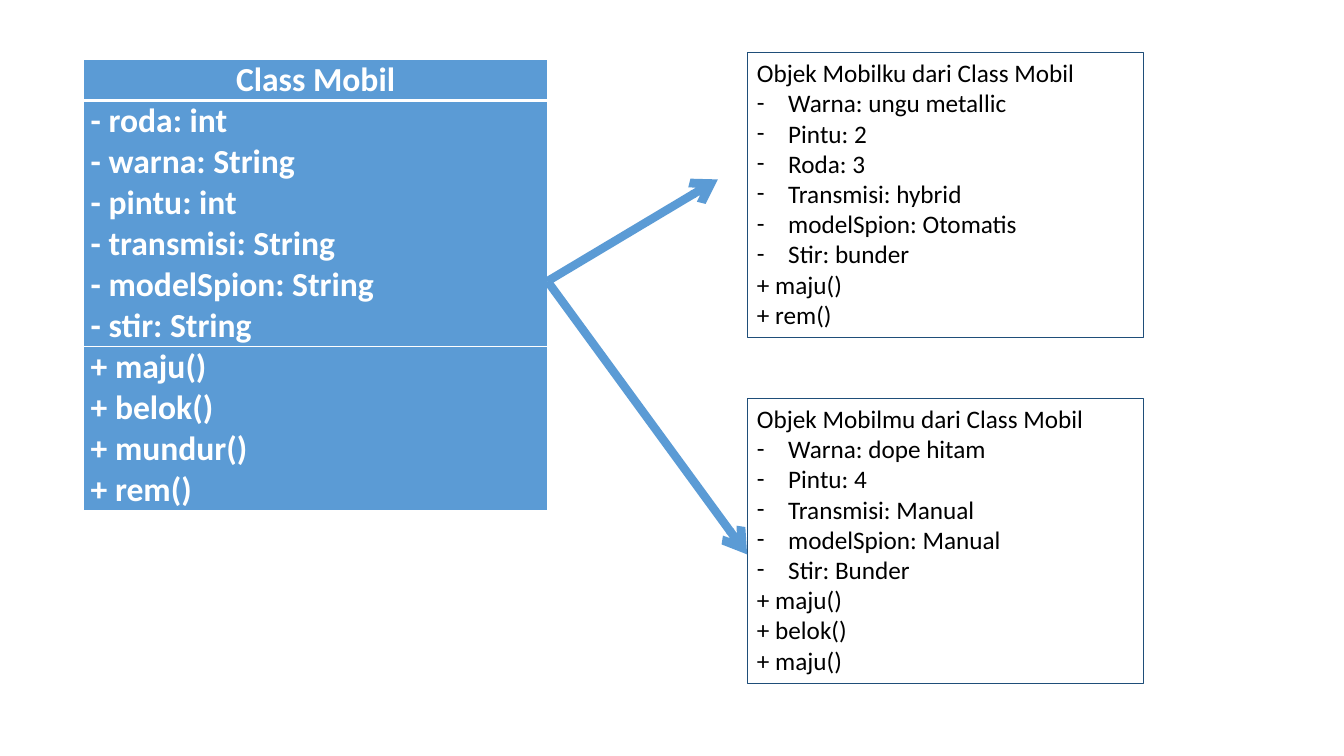
from lxml.etree import SubElement
from pptx import Presentation
from pptx.dml.color import RGBColor
from pptx.enum.shapes import MSO_CONNECTOR, MSO_SHAPE
from pptx.enum.text import MSO_ANCHOR, MSO_AUTO_SIZE, PP_ALIGN
from pptx.oxml.ns import qn
from pptx.util import Inches, Pt

BLUE, NAVY, WHITE, BLACK = "5B9BD5", "1F4E79", "FFFFFF", "000000"
FONT = "Calibri"
LINE_HEIGHT = 0.407  # one line of class text, in inches

CLASS_SECTIONS = [
    ["Class Mobil"],
    ["- roda: int", "- warna: String", "- pintu: int", "- transmisi: String",
     "- modelSpion: String", "- stir: String"],
    ["+ maju()", "+ belok()", "+ mundur()", "+ rem()"],
]
MOBILKU = (
    "Objek Mobilku dari Class Mobil",
    ["Warna: ungu metallic", "Pintu: 2", "Roda: 3", "Transmisi: hybrid",
     "modelSpion: Otomatis", "Stir: bunder"],
    ["+ maju()", "+ rem()"],
)
MOBILMU = (
    "Objek Mobilmu dari Class Mobil",
    ["Warna: dope hitam", "Pintu: 4", "Transmisi: Manual",
     "modelSpion: Manual", "Stir: Bunder"],
    ["+ maju()", "+ belok()", "+ maju()"],
)


def color(hex_string):
    return RGBColor.from_string(hex_string)


def write_lines(text_frame, lines, size, hex_string, bold=False):
    text_frame.text = "\n".join(lines)
    for paragraph in text_frame.paragraphs:
        paragraph.alignment = PP_ALIGN.LEFT
        for run in paragraph.runs:
            run.font.name = FONT
            run.font.size = Pt(size)
            run.font.bold = bold
            run.font.color.rgb = color(hex_string)


def add_dash(paragraph):
    properties = paragraph._p.get_or_add_pPr()
    properties.set("marL", str(Inches(0.31)))
    properties.set("indent", str(-Inches(0.31)))
    SubElement(properties, qn("a:buFont"), typeface=FONT)
    SubElement(properties, qn("a:buChar"), char="-")


def set_borders(cell, **widths):
    properties = cell._tc.get_or_add_tcPr()
    for side in "LRTB":
        border = SubElement(properties, qn(f"a:ln{side}"), w=str(Pt(widths.get(side, 1))))
        fill = SubElement(border, qn("a:solidFill"))
        SubElement(fill, qn("a:srgbClr"), val=WHITE)


# Class diagram: one table row per section
def add_class_table(slide, left, top, width):
    heights = [LINE_HEIGHT * len(section) for section in CLASS_SECTIONS]
    table = slide.shapes.add_table(len(heights), 1, Inches(left), Inches(top),
                                   Inches(width), Inches(sum(heights))).table
    borders = [{"B": 3}, {"T": 3}, {}]
    for index, section in enumerate(CLASS_SECTIONS):
        table.rows[index].height = Inches(heights[index])
        cell = table.cell(index, 0)
        cell.margin_left = cell.margin_right = Inches(0.07)
        cell.margin_top = cell.margin_bottom = 0
        write_lines(cell.text_frame, section, 24, WHITE, bold=True)
        set_borders(cell, **borders[index])
        cell.fill.solid()
        cell.fill.fore_color.rgb = color(BLUE)
    table.cell(0, 0).text_frame.paragraphs[0].alignment = PP_ALIGN.CENTER


# Object box: heading, dashed attributes, methods
def add_object_box(slide, left, top, width, height, content):
    heading, attributes, methods = content
    shape = slide.shapes.add_shape(MSO_SHAPE.RECTANGLE, Inches(left), Inches(top),
                                   Inches(width), Inches(height))
    shape.shadow.inherit = False
    shape.fill.background()
    shape.line.color.rgb = color(NAVY)
    shape.line.width = Pt(0.75)
    text_frame = shape.text_frame
    text_frame.word_wrap = True
    text_frame.auto_size = MSO_AUTO_SIZE.SHAPE_TO_FIT_TEXT
    text_frame.vertical_anchor = MSO_ANCHOR.TOP
    write_lines(text_frame, [heading, *attributes, *methods], 18, BLACK)
    for paragraph in text_frame.paragraphs[1:len(attributes) + 1]:
        add_dash(paragraph)


# Arrow from the class to an object
def add_arrow(slide, start, end):
    connector = slide.shapes.add_connector(
        MSO_CONNECTOR.STRAIGHT, *[Inches(value) for value in (*start, *end)])
    connector.line.color.rgb = color(BLUE)
    connector.line.width = Pt(6)
    SubElement(connector.line._get_or_add_ln(), qn("a:tailEnd"), type="arrow")
    SubElement(connector._element.spPr, qn("a:effectLst"))


def main():
    presentation = Presentation()
    presentation.slide_width = Inches(13.33)
    presentation.slide_height = Inches(7.5)
    slide = presentation.slides.add_slide(presentation.slide_layouts[6])

    add_class_table(slide, 0.83, 0.59, 4.6)
    class_edge = (5.43, 2.79)
    for top, content, target in [(0.52, MOBILKU, (7.12, 1.78)),
                                 (3.95, MOBILMU, (7.41, 5.5))]:
        add_object_box(slide, 7.41, top, 3.93, 2.83, content)
        add_arrow(slide, class_edge, target)

    presentation.save("out.pptx")


if __name__ == "__main__":
    main()
